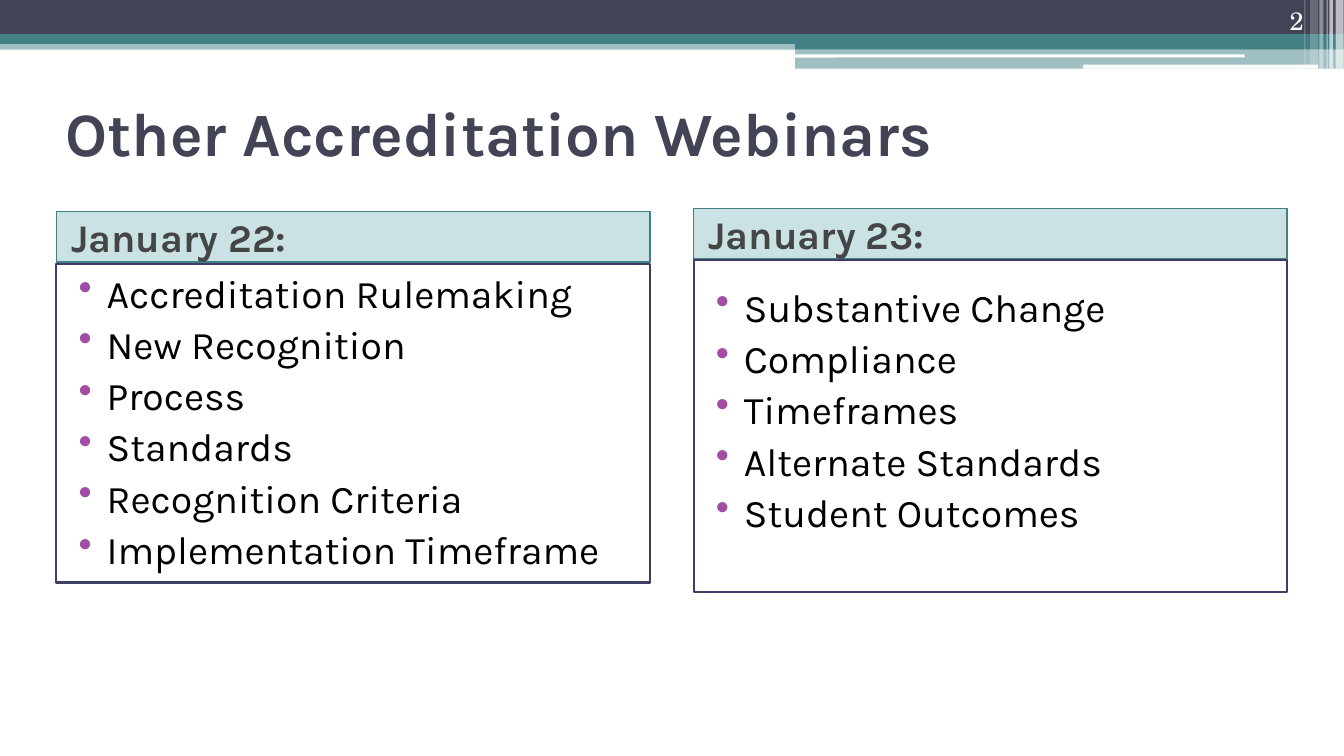
from lxml import etree
from pptx import Presentation, util as u
from pptx.dml.color import RGBColor
from pptx.enum import shapes, text
from pptx.oxml import ns

NAVY = RGBColor(0x42, 0x44, 0x56)
TEAL = RGBColor(0x43, 0x80, 0x86)
AQUA = RGBColor(0x32, 0x8E, 0x97)
FRAME = RGBColor(0x3D, 0x3E, 0x66)
PLUM = RGBColor(0xA0, 0x4D, 0xA3)
GREY = RGBColor(0x45, 0x45, 0x45)
BLACK = RGBColor(0, 0, 0)
WHITE = RGBColor(255, 255, 255)

RECT = shapes.MSO_SHAPE.RECTANGLE
ROUND = shapes.MSO_SHAPE.ROUNDED_RECTANGLE
LEFT, RIGHT = text.PP_ALIGN.LEFT, text.PP_ALIGN.RIGHT
TOP, MID, BASE = text.MSO_ANCHOR.TOP, text.MSO_ANCHOR.MIDDLE, text.MSO_ANCHOR.BOTTOM

WIDE, HIGH = 33.87, 19.05
COL = 14.96

BANDS = [
    (0, 1.02, WIDE, 0.23, TEAL, 50, RECT),
    (0, 0, WIDE, 0.86, NAVY, 100, RECT),
    (0, 0.86, WIDE, 0.25, TEAL, 100, RECT),
    (20.04, 0.99, 13.83, 0.25, TEAL, 100, RECT),
    (20.04, 1.22, 13.83, 0.51, TEAL, 50, RECT),
    (20.02, 1.37, 11.35, 0.08, WHITE, 100, ROUND),
    (27.3, 1.63, 5.92, 0.1, WHITE, 100, ROUND),
]
STRIPES = [
    (33.66, 0.2, 1.73, 65),
    (33.5, 0.1, 1.73, 65),
    (33.43, 0.03, 1.73, 60),
    (33.25, 0.1, 1.73, 40),
    (33.02, 0.2, 1.63, 20),
    (32.87, 0.03, 1.63, 30),
]
DAYS = [
    (1.42, 5.33, 6.65, 6.65, 8.03, "January 22:",
     ["Accreditation Rulemaking", "New Recognition", "Process", "Standards",
      "Recognition Criteria", "Implementation Timeframe"]),
    (17.48, 5.26, 7.01, 6.55, 8.38, "January 23:",
     ["Substantive Change", "Compliance", "Timeframes", "Alternate Standards",
      "Student Outcomes"]),
]


class Deck:
    """Holds the style and the current slide, and draws each kind of element."""

    def __init__(self):
        """Start a deck with one title-only slide."""
        self.prs = Presentation()
        self.prs.slide_width, self.prs.slide_height = u.Cm(WIDE), u.Cm(HIGH)
        self.face = "Karla"
        self.slide = self.prs.slides.add_slide(self.prs.slide_layouts[5])

    def shape(self, box, fill=None, alpha=100, line=None, width=1, kind=RECT):
        """Draw a preset shape with an optional fill and outline."""
        item = self.slide.shapes.add_shape(kind, *map(u.Cm, box))
        item.shadow.inherit = False
        if fill is None:
            item.fill.background()
        else:
            item.fill.solid()
            item.fill.fore_color.rgb = fill
            if alpha < 100:
                color = item.element.spPr.find(".//" + ns.qn("a:srgbClr"))
                etree.SubElement(color, ns.qn("a:alpha"), val=str(alpha * 1000))
        if line is None:
            item.line.fill.background()
        else:
            item.line.color.rgb = line
            item.line.width = u.Pt(width)
        return item

    def words(self, item, lines, size, color, bold=False, face=None,
              align=LEFT, anchor=TOP, indent=(0, 0), bullet=None):
        """Fill an item with paragraphs of one style."""
        frame = item.text_frame
        frame.word_wrap = True
        frame.vertical_anchor = anchor
        frame.text = "\n".join(lines)
        for n, para in enumerate(frame.paragraphs):
            para.alignment = align
            para.space_before = u.Pt(3 if n else 0)
            props = para._p.get_or_add_pPr()
            props.set("marL", str(u.Cm(indent[0])))
            props.set("indent", str(u.Cm(indent[1])))
            if bullet is not None:
                tint = etree.SubElement(props, ns.qn("a:buClr"))
                etree.SubElement(tint, ns.qn("a:srgbClr"), val=str(bullet))
                etree.SubElement(props, ns.qn("a:buChar"), char="•")
            font = para.font
            font.name, font.size, font.bold = face or self.face, u.Pt(size), bold
            font.color.rgb = color

    def title(self, box, line):
        """Place and format the title."""
        item = self.slide.shapes.title
        item.left, item.top, item.width, item.height = map(u.Cm, box)
        self.words(item, [line], 44, NAVY, bold=True, anchor=MID)

    def label(self, box, lines, size, color, **style):
        """Add a text box."""
        item = self.slide.shapes.add_textbox(*map(u.Cm, box))
        self.words(item, lines, size, color, **style)

    def day(self, left, top, start, edge, height, name, topics):
        """Draw one day: its heading, its topics and their frame."""
        head = self.shape((left, top, COL, 1.27), AQUA, 25, TEAL)
        self.words(head, [name], 28, GREY, bold=True, anchor=MID, indent=(0.13, 0))
        self.label((left, start, COL, 10.8), topics, 28, BLACK,
                   indent=(1.02, -0.71), bullet=PLUM)
        self.shape((left, edge, COL, height), line=FRAME, width=1.5)


def main():
    """Build the slide and save it."""
    deck = Deck()
    for *box, fill, alpha, kind in BANDS:
        deck.shape(box, fill, alpha, kind=kind)
    for left, width, height, alpha in STRIPES:
        deck.shape((left, 0, width, height), WHITE, alpha)
    deck.title((1.4, 1.85, 31.04, 2.97), "Other Accreditation Webinars")
    for day in DAYS:
        deck.day(*day)
    deck.label((30.28, 0, 2.82, 1.02), ["2"], 18, WHITE,
               face="TeX Gyre Schola", align=RIGHT, anchor=BASE)
    deck.prs.save("out.pptx")


if __name__ == "__main__":
    main()
